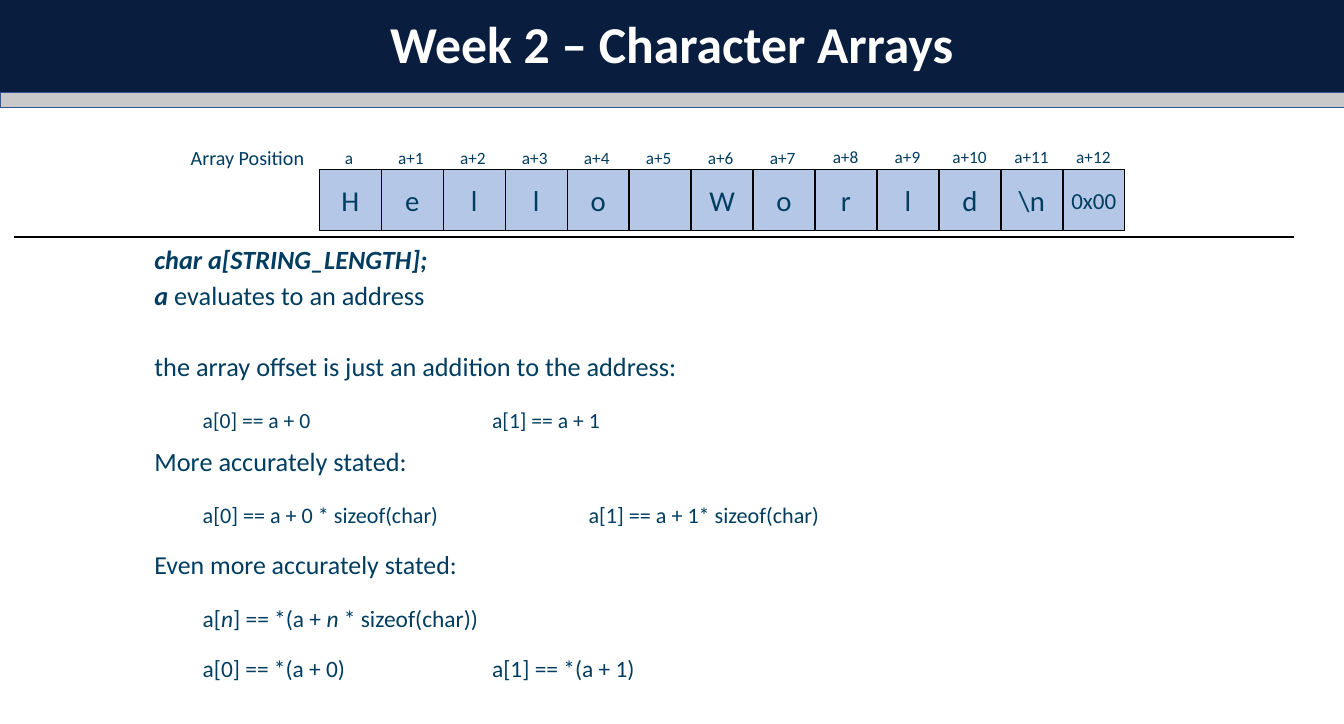
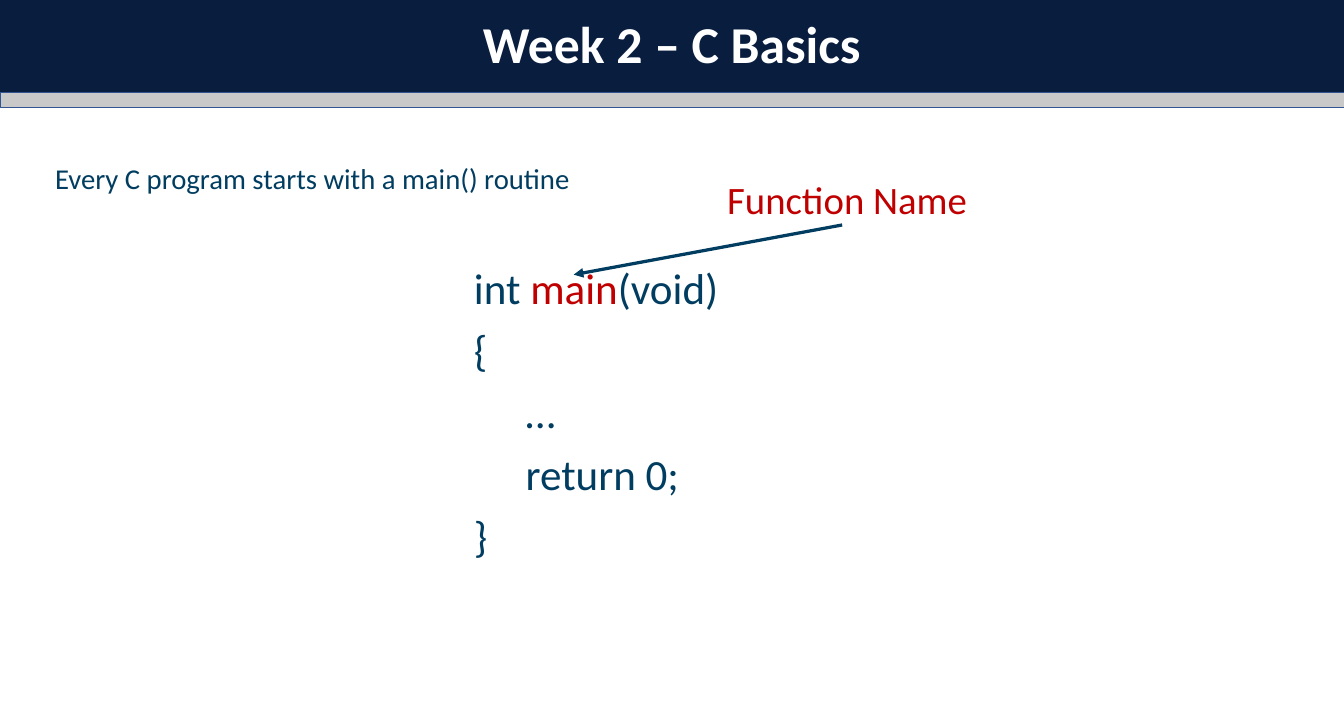
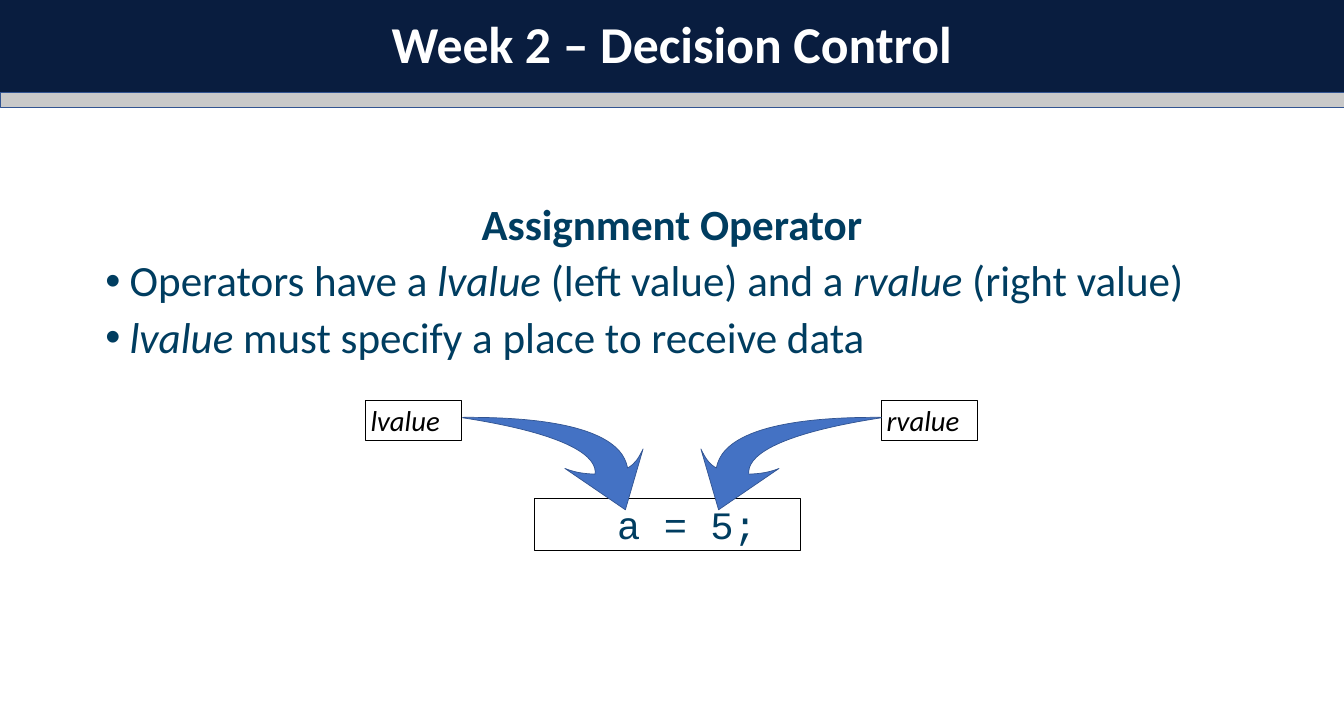
from lxml.etree import SubElement
from pptx import Presentation
from pptx.dml.color import RGBColor
from pptx.enum.shapes import MSO_CONNECTOR, MSO_SHAPE
from pptx.enum.text import MSO_ANCHOR, PP_ALIGN
from pptx.oxml.ns import qn
from pptx.util import Cm, Pt

SLIDE_WIDTH, SLIDE_HEIGHT = 66.04, 35.56
BAND_HEIGHT, STRIP_HEIGHT = 4.55, 0.74
NAVY, INK, RED, BLACK, WHITE = "091D3F", "003D60", "C00000", "000000", "FFFFFF"
SILVER, EDGE, CELL_BLUE, ARROW_BLUE = "C9C9C9", "325491", "B4C7E7", "4472C4"
ITALIC = {"italic": True}


def rgb(value):
    """Turn a hex string into a colour."""
    return RGBColor.from_string(value)


def paint(shape, fill=None, line=None, width=1):
    """Set the fill and outline of a shape and drop its shadow."""
    shape.shadow.inherit = False
    if fill:
        shape.fill.solid()
        shape.fill.fore_color.rgb = rgb(fill)
    else:
        shape.fill.background()
    if line:
        shape.line.color.rgb = rgb(line)
        shape.line.width = Pt(width)
    else:
        shape.line.fill.background()


def add_box(slide, left, top, width, height, fill=None, line=None, line_width=1):
    """Add a rectangle with top-anchored text."""
    box = slide.shapes.add_shape(MSO_SHAPE.RECTANGLE, Cm(left), Cm(top), Cm(width), Cm(height))
    paint(box, fill, line, line_width)
    box.text_frame.vertical_anchor = MSO_ANCHOR.TOP
    return box.text_frame


def add_text_area(slide, left, top, width, height):
    """Add a wrapping text box."""
    frame = slide.shapes.add_textbox(Cm(left), Cm(top), Cm(width), Cm(height)).text_frame
    frame.word_wrap = True
    return frame


def write(frame, pieces, size, color=INK, align=PP_ALIGN.LEFT, font="Calibri",
          before=0, spacing=None, margin=0, indent=0, **style):
    """Write the next paragraph from a string or from (text, style) pieces."""
    paragraph = frame.paragraphs[-1]
    if paragraph.runs:
        paragraph = frame.add_paragraph()
    paragraph.alignment = align
    paragraph.space_before = Pt(before)
    if spacing:
        paragraph.line_spacing = spacing
    properties = paragraph._p.get_or_add_pPr()
    properties.set("marL", str(Cm(margin)))
    properties.set("indent", str(Cm(indent)))
    for text, changes in [(pieces, {})] if isinstance(pieces, str) else pieces:
        run = paragraph.add_run()
        run.text = text
        look = {"color": color, **style, **changes}
        run.font.name = font
        run.font.size = Pt(size)
        run.font.color.rgb = rgb(look["color"])
        run.font.bold = look.get("bold", False)
        run.font.italic = look.get("italic", False)
    return properties


def add_line(slide, start, end, color, width, arrow=False):
    """Draw a straight line, with an arrowhead at its end if asked."""
    line = slide.shapes.add_connector(MSO_CONNECTOR.STRAIGHT, *map(Cm, start + end))
    line.line.color.rgb = rgb(color)
    line.line.width = Pt(width)
    if arrow:
        SubElement(line.line._get_or_add_ln(), qn("a:tailEnd"), type="triangle")
    SubElement(line._element.spPr, qn("a:effectLst"))


def add_curved_arrow(slide, mirrored=False):
    """Draw the bent arrow from a value label to the assignment."""
    segments = [
        [(22.76, 20.5)],
        [(30.33, 20.45), (30.71, 22.43), (30.84, 22.99)],
        [(31.19, 22.78), (31.34, 22.58), (31.6, 22.05)],
        [(30.73, 25.04)],
        [(27.76, 23.01)],
        [(28.4, 23.27), (28.96, 23.27), (29.24, 23.29)],
        [(29.36, 22.5), (28.17, 21.36), (22.73, 20.52)],
    ]
    segments = [[(Cm(SLIDE_WIDTH - x if mirrored else x), Cm(y)) for x, y in segment]
                for segment in segments]
    corners = [segment[-1] for segment in segments]
    builder = slide.shapes.build_freeform(*corners[0])
    builder.add_line_segments(corners[1:], close=True)
    arrow = builder.convert_to_shape()
    paint(arrow, ARROW_BLUE, EDGE)
    sides = list(arrow._element.iter(qn("a:lnTo")))
    for side, segment in zip(sides, segments[1:]):
        if len(segment) == 3:
            side.tag = qn("a:cubicBezTo")
            for point in list(side):
                side.remove(point)
            for x, y in segment:
                SubElement(side, qn("a:pt"), x=str(x - arrow.left), y=str(y - arrow.top))


def add_titled_slide(deck, title):
    """Add a blank slide with the title band and the strip below it."""
    slide = deck.slides.add_slide(deck.slide_layouts[6])
    band = add_box(slide, 0, 0, SLIDE_WIDTH, BAND_HEIGHT, NAVY)
    band.vertical_anchor = MSO_ANCHOR.MIDDLE
    write(band, title, 72, WHITE, PP_ALIGN.CENTER, spacing=0.9, bold=True)
    add_box(slide, 0, BAND_HEIGHT, SLIDE_WIDTH, STRIP_HEIGHT, SILVER, EDGE)
    return slide


def add_array(slide, characters):
    """Draw the array cells with their addresses above."""
    first, last = 15.71, 52.24
    pitch = (last - first) / (len(characters) - 1)
    for index, character in enumerate(characters):
        left = first + pitch * index
        shift, address_top = (0.07, 6.25) if index < 8 else (0.02, 6.17)
        cell = add_box(slide, left, 8.33, 3.01, 3, CELL_BLUE, BLACK, 0)
        address = add_text_area(slide, left - shift, address_top, 3.01, 3)
        cell.vertical_anchor = address.vertical_anchor = MSO_ANCHOR.MIDDLE
        if character.strip():
            write(cell, character, 32 if len(character) > 2 else 40, align=PP_ALIGN.CENTER)
        write(address, f"a+{index}" if index else "a", 24, align=PP_ALIGN.CENTER)


def build_character_arrays(deck):
    """Build the slide on arrays and addresses."""
    slide = add_titled_slide(deck, "Week 2 – Character Arrays")
    heading = add_text_area(slide, 7.72, 7.04, 7.47, 1.47)
    write(heading, "Array Position", 28, align=PP_ALIGN.RIGHT)
    add_array(slide, [*"Hello World", "\\n", "0x00"])

    strong = {"bold": True, "italic": True}
    offset = 2.37
    statements = [
        (0, 36.6, 0, [("char a[STRING_LENGTH];", strong)]),
        (14, 36.6, 0, [("a", strong), (" evaluates to an address", {})]),
        (63, 36.6, 0, "the array offset is just an addition to the address:"),
        (34.1, 30.1, offset, "a[0] == a + 0"),
        (25.9, 36.6, 0, "More accurately stated:"),
        (35.5, 30.8, offset, "a[0] == a + 0 * sizeof(char)"),
        (35.4, 36, 0, "Even more accurately stated:"),
        (37, 32.6, offset, [("a[", {}), ("n", ITALIC), ("] == *(a + ", {}), ("n ", ITALIC),
                            ("* sizeof(char))", {})]),
        (34, 32.6, offset, "a[0] == *(a + 0)"),
    ]
    second_elements = [
        (0, 30.1, 0, "a[1] == a + 1"),
        (97.4, 30.8, 2 * offset, "a[1] == a + 1* sizeof(char)"),
        (178.4, 32.6, 0, "a[1] == *(a + 1)"),
    ]
    body = add_text_area(slide, 7.34, 12.12, 50.17, 23.2)
    column = add_text_area(slide, 23.93, 19.85, 33.58, 15.47)
    for frame, lines in [(body, statements), (column, second_elements)]:
        for before, size, margin, pieces in lines:
            write(frame, pieces, size, before=before, spacing=Pt(36), margin=margin)
    add_line(slide, (0.69, 11.63), (63.6, 11.63), BLACK, 3)


def build_c_basics(deck):
    """Build the slide on the main routine."""
    slide = add_titled_slide(deck, "Week 2 – C Basics")
    intro = add_text_area(slide, 2.46, 7.75, 33.02, 4.17)
    write(intro, "Every C program starts with a main() routine", 40, before=14.2)
    code = add_text_area(slide, 23.04, 12.73, 33.02, 15.09)
    signature = [("int ", {}), ("main", {"color": RED}), ("(void)", {})]
    for pieces, margin in [(signature, 0), ("{", 0), ("…", 2.54), ("return 0;", 2.54), ("}", 0)]:
        write(code, pieces, 60, before=14.2, margin=margin)
    callout = add_text_area(slide, 35.48, 8.5, 12.45, 2.57)
    callout.word_wrap = False
    write(callout, "Function Name", 54, RED)
    add_line(slide, (41.38, 11.05), (28.19, 13.49), INK, 4.5, arrow=True)


def build_decision_control(deck):
    """Build the slide on the assignment operator."""
    slide = add_titled_slide(deck, "Week 2 – Decision Control")
    body = add_text_area(slide, 4.93, 9.84, 56.18, 23.88)
    write(body, "Assignment Operator", 60, align=PP_ALIGN.CENTER, before=14.2, spacing=0.9,
          bold=True)
    rules = [
        [("Operators have a ", {}), ("lvalue", ITALIC), (" (left value) and a ", {}),
         ("rvalue", ITALIC), (" (right value)", {})],
        [("lvalue", ITALIC), (" must specify a place to receive data", {})],
    ]
    for pieces in rules:
        properties = write(body, pieces, 60, before=14.2, spacing=0.9, margin=1.19, indent=-1.19)
        SubElement(properties, qn("a:buFont"), typeface="Arial")
        SubElement(properties, qn("a:buChar"), char="•")
    assignment = add_box(slide, 26.27, 24.48, 13.03, 2.56, line=BLACK, line_width=0.75)
    write(assignment, "a = 5;", 54, font="Courier New", margin=3.81)
    for name, left in [("lvalue", 17.96), ("rvalue", 43.32)]:
        label = add_box(slide, left, 19.66, 4.72, 1.96, line=BLACK, line_width=0.75)
        write(label, name, 40, BLACK, italic=True)
    for mirrored in (False, True):
        add_curved_arrow(slide, mirrored)


def main():
    """Build and save the deck."""
    deck = Presentation()
    deck.slide_width, deck.slide_height = Cm(SLIDE_WIDTH), Cm(SLIDE_HEIGHT)
    build_character_arrays(deck)
    build_c_basics(deck)
    build_decision_control(deck)
    deck.save("out.pptx")


if __name__ == "__main__":
    main()
